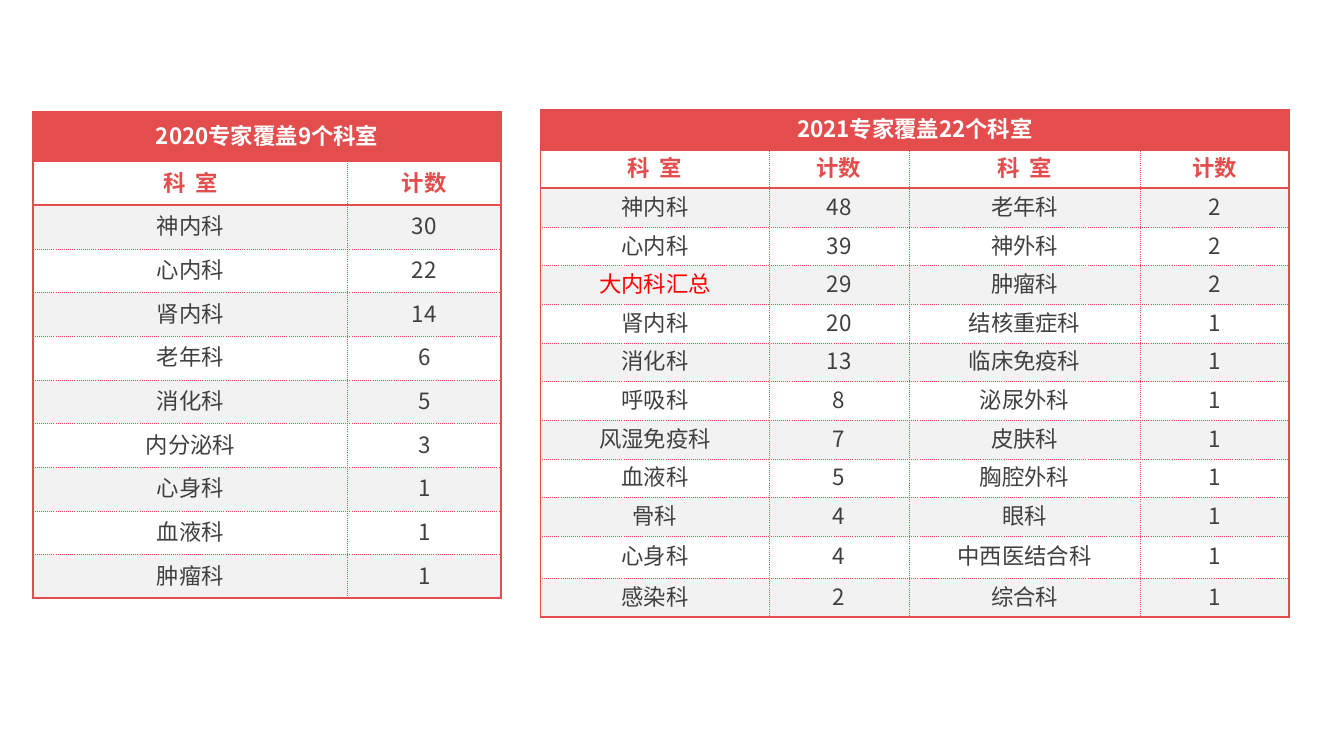
from lxml import etree
from pptx import Presentation
from pptx.dml.color import RGBColor
from pptx.enum.text import MSO_ANCHOR, PP_ALIGN
from pptx.oxml.ns import qn
from pptx.util import Cm, Pt

CENTER = PP_ALIGN.CENTER
MIDDLE = MSO_ANCHOR.MIDDLE
FONT = "Noto Sans CJK SC"
COLORS = {"red": "E34D4D", "alert": "FF0000", "text": "404040",
          "white": "FFFFFF", "band": "F2F2F2"}
CELL_FORMAT = {"vertical_anchor": MIDDLE, "margin_left": Cm(0.03),
               "margin_right": Cm(0.03), "margin_top": Cm(0.03),
               "margin_bottom": Cm(0.13)}
HEADER = ["科  室", "计数"]
HIGHLIGHT = "大内科汇总"

TABLES = [
    {"title": "2020专家覆盖9个科室", "left": 0.84, "top": 2.82,
     "widths": [7.92, 3.86], "heights": [1.25] + [1.1] * 10,
     "rows": [HEADER, ["神内科", 30], ["心内科", 22], ["肾内科", 14],
              ["老年科", 6], ["消化科", 5], ["内分泌科", 3], ["心身科", 1],
              ["血液科", 1], ["肿瘤科", 1]]},
    {"title": "2021专家覆盖22个科室", "left": 13.62, "top": 2.77,
     "widths": [5.77, 3.51, 5.84, 3.75],
     "heights": [1] + [0.97] * 10 + [1.06, 0.97],
     "rows": [HEADER * 2,
              ["神内科", 48, "老年科", 2],
              ["心内科", 39, "神外科", 2],
              [HIGHLIGHT, 29, "肿瘤科", 2],
              ["肾内科", 20, "结核重症科", 1],
              ["消化科", 13, "临床免疫科", 1],
              ["呼吸科", 8, "泌尿外科", 1],
              ["风湿免疫科", 7, "皮肤科", 1],
              ["血液科", 5, "胸腔外科", 1],
              ["骨科", 4, "眼科", 1],
              ["心身科", 4, "中西医结合科", 1],
              ["感染科", 2, "综合科", 1]]},
]


def add_border(cell, side, solid):
    ln = etree.SubElement(cell._tc.get_or_add_tcPr(), qn("a:ln" + side),
                          w=str(Pt(1.5 if solid else 0.25)))
    fill = etree.SubElement(ln, qn("a:solidFill"))
    etree.SubElement(fill, qn("a:srgbClr"), val=COLORS["red"])
    etree.SubElement(ln, qn("a:prstDash"), val="solid" if solid else "sysDot")


def write_cell(cell, text, color, fill, bold):
    for name, value in CELL_FORMAT.items():
        setattr(cell, name, value)
    cell.fill.solid()
    cell.fill.fore_color.rgb = RGBColor.from_string(COLORS[fill])
    p = cell.text_frame.paragraphs[0]
    p.alignment = CENTER
    r = p.add_run()
    r.text = str(text)
    for name, value in {"name": FONT, "size": Pt(16), "bold": bold}.items():
        setattr(r.font, name, value)
    r.font.color.rgb = RGBColor.from_string(COLORS[color])
    etree.SubElement(r._r.get_or_add_rPr(), qn("a:ea"), typeface=FONT)


prs = Presentation()
prs.slide_width, prs.slide_height = Cm(33.87), Cm(19.05)
s = prs.slides.add_slide(prs.slide_layouts[6])

for data in TABLES:
    widths, heights = data["widths"], data["heights"]
    last_row, last_col = len(heights) - 1, len(widths) - 1
    table = s.shapes.add_table(len(heights), len(widths), Cm(data["left"]), Cm(data["top"]),
                               Cm(sum(widths)), Cm(sum(heights))).table
    table.first_row = table.horz_banding = False
    for column, width in zip(table.columns, widths):
        column.width = Cm(width)
    for row, height in zip(table.rows, heights):
        row.height = Cm(height)

    for i in range(last_row + 1):
        for j in range(last_col + 1):
            solid_sides = {"L": i == 0 or j == 0, "R": i == 0 or j == last_col,
                           "T": i <= 2, "B": i <= 1 or i == last_row}
            for side, solid in solid_sides.items():
                add_border(table.cell(i, j), side, solid)

    title = table.cell(0, 0)
    title.merge(table.cell(0, last_col))
    write_cell(title, data["title"], "white", "red", True)
    for i, values in enumerate(data["rows"], 1):
        for j, value in enumerate(values):
            color = "red" if i == 1 else "alert" if value == HIGHLIGHT else "text"
            write_cell(table.cell(i, j), value, color,
                       "white" if i % 2 else "band", i == 1)

prs.save("out.pptx")
